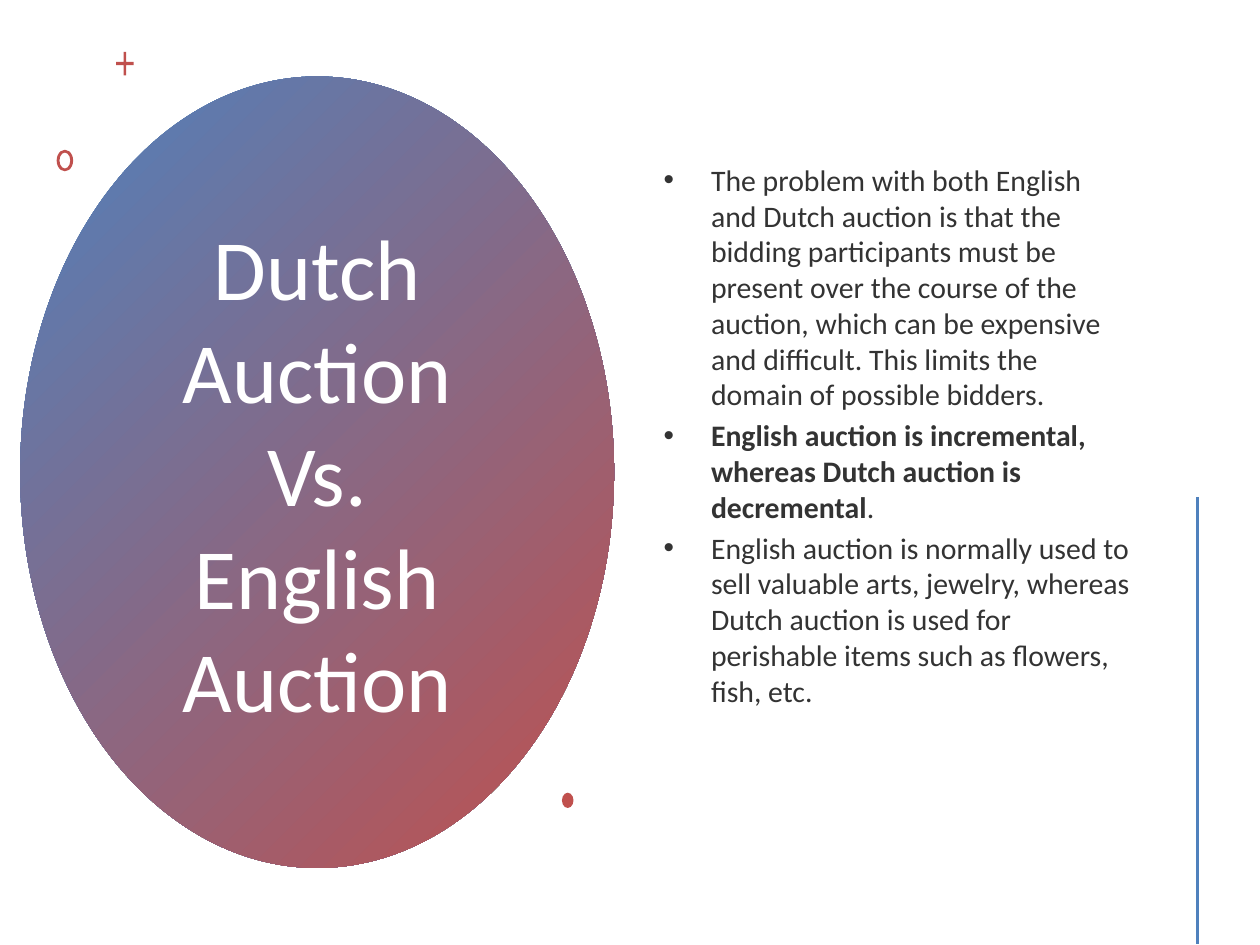
"""Build the slide that compares Dutch and English auctions."""
from lxml import etree
from pptx import Presentation
from pptx.dml.color import RGBColor
from pptx.enum import shapes, text
from pptx.oxml.ns import qn
from pptx.util import Pt

BLUE, RED, WHITE, DARK = "4F81BD", "C0504D", "FFFFFF", "333333"
FONT = "Calibri"
TITLE = "Dutch Auction Vs. English Auction"
POINTS = [
    [("The problem with both English and Dutch auction is that the bidding "
      "participants must be present over the course of the auction, which can be "
      "expensive and difficult. This limits the domain of possible bidders.", False)],
    [("English auction is incremental, whereas Dutch auction is decremental", True),
     (".", False)],
    [("English auction is normally used to sell valuable arts, jewelry, whereas "
      "Dutch auction is used for perishable items such as flowers, fish, etc.", False)],
]


def color(value):
    """Turn a hex string into a colour."""
    return RGBColor.from_string(value)


def fill_plain(shape, value):
    """Give a shape a solid fill without line or shadow."""
    shape.shadow.inherit = False
    shape.fill.solid()
    shape.fill.fore_color.rgb = color(value)
    shape.line.fill.background()


def add_preset(slide, kind, left, top, width, height, value):
    """Add a plain preset shape."""
    shape = slide.shapes.add_shape(kind, Pt(left), Pt(top), Pt(width), Pt(height))
    fill_plain(shape, value)
    return shape


def add_gradient_oval(slide, left, top, width, height, start, end):
    """Add an oval shaded from its top left to its bottom right."""
    oval = add_preset(slide, shapes.MSO_SHAPE.OVAL, left, top, width, height, start)
    oval.fill.gradient()
    oval.fill.gradient_angle = 315
    for stop, value in zip(oval.fill.gradient_stops, (start, end)):
        stop.color.rgb = color(value)


def add_plus(slide, left, top, width, height, upright, bar, value):
    """Add a plus sign with its own thickness for each stroke."""
    x1, x2 = left + (width - upright) / 2, left + (width + upright) / 2
    y1, y2 = top + (height - bar) / 2, top + (height + bar) / 2
    right, bottom = left + width, top + height
    outline = [(x1, top), (x2, top), (x2, y1), (right, y1), (right, y2), (x2, y2),
               (x2, bottom), (x1, bottom), (x1, y2), (left, y2), (left, y1), (x1, y1)]
    corners = [(Pt(x), Pt(y)) for x, y in outline]
    builder = slide.shapes.build_freeform(*corners[0])
    builder.add_line_segments(corners[1:])
    fill_plain(builder.convert_to_shape(), value)


def add_text_frame(slide, left, top, width, height):
    """Add a wrapping, vertically centred text box and return its frame."""
    box = slide.shapes.add_textbox(Pt(left), Pt(top), Pt(width), Pt(height))
    frame = box.text_frame
    frame.word_wrap = True
    frame.vertical_anchor = text.MSO_ANCHOR.MIDDLE
    return frame


def format_font(font, size, value, bold=False):
    """Set the face, size, colour and weight of a font."""
    font.name, font.size, font.bold = FONT, Pt(size), bold
    font.color.rgb = color(value)


def add_title(slide, wording):
    """Add the centred title over the oval."""
    frame = add_text_frame(slide, 73.5, 101.5, 215.3, 336.5)
    frame.text = wording
    paragraph = frame.paragraphs[0]
    paragraph.alignment = text.PP_ALIGN.CENTER
    format_font(paragraph.runs[0].font, 49, WHITE)


def add_bullet(paragraph, indent):
    """Give a paragraph a hanging round bullet."""
    properties = paragraph._p.get_or_add_pPr()
    properties.set("marL", str(Pt(indent)))
    properties.set("indent", str(Pt(-indent)))
    etree.SubElement(properties, qn("a:buFont"), typeface="Arial")
    etree.SubElement(properties, qn("a:buChar"), char="•")


def add_bullet_list(slide, points):
    """Add the list of bulleted points."""
    frame = add_text_frame(slide, 372.2, 39.8, 281.5, 417.4)
    for index, parts in enumerate(points):
        paragraph = frame.paragraphs[0] if index == 0 else frame.add_paragraph()
        add_bullet(paragraph, 27)
        paragraph.space_before = Pt(3 if index else 0)
        for wording, bold in parts:
            run = paragraph.add_run()
            run.text = wording
            format_font(run.font, 17, DARK, bold)


def add_line(slide, x1, y1, x2, y2, value, width):
    """Add a straight line without shadow."""
    line = slide.shapes.add_connector(
        shapes.MSO_CONNECTOR.STRAIGHT, Pt(x1), Pt(y1), Pt(x2), Pt(y2))
    line.line.color.rgb = color(value)
    line.line.width = Pt(width)
    etree.SubElement(line._element.spPr, qn("a:effectLst"))


def main():
    """Build and save the presentation."""
    presentation = Presentation()
    presentation.slide_width, presentation.slide_height = Pt(720), Pt(540)
    slide = presentation.slides.add_slide(presentation.slide_layouts[6])
    add_gradient_oval(slide, 11.5, 43.7, 339.4, 452.3, BLUE, RED)
    add_title(slide, TITLE)
    add_plus(slide, 66.4, 29.6, 10, 13.4, 1.4, 1.9, RED)
    ring = add_preset(slide, shapes.MSO_SHAPE.DONUT, 32.4, 85.6, 9.4, 12.3, RED)
    ring.adjustments[0] = 0.17
    add_bullet_list(slide, POINTS)
    add_preset(slide, shapes.MSO_SHAPE.OVAL, 321.1, 453, 6.6, 8.7, RED)
    add_line(slide, 684.2, 284, 684.2, 539.5, BLUE, 1.75)
    presentation.save("out.pptx")


if __name__ == "__main__":
    main()
